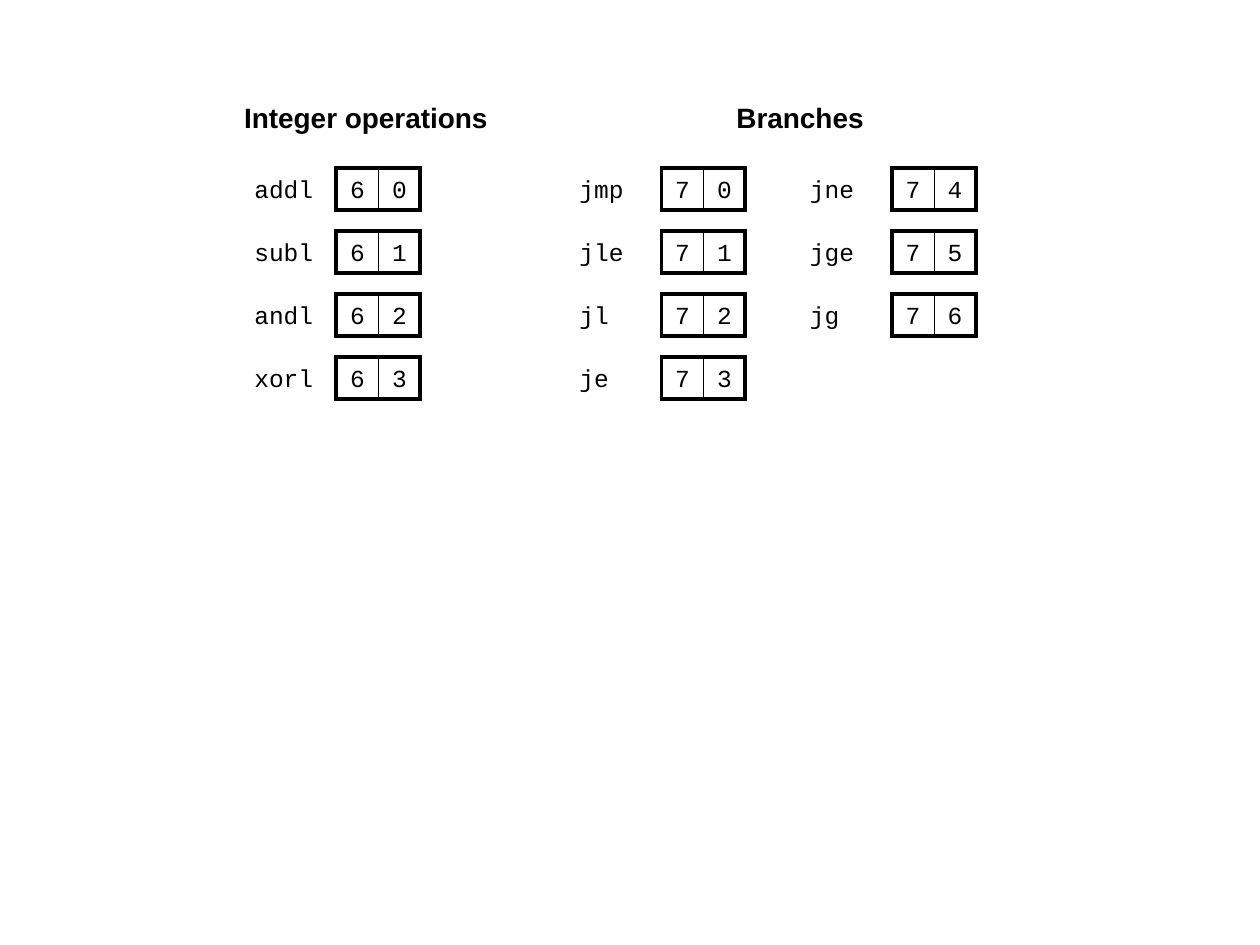
from dataclasses import dataclass
from typing import Any

from lxml import etree
from pptx import Presentation
from pptx.dml.color import RGBColor
from pptx.enum.shapes import MSO_SHAPE
from pptx.enum.text import MSO_ANCHOR, MSO_AUTO_SIZE, PP_ALIGN
from pptx.oxml.ns import qn
from pptx.util import Inches, Pt

RECT = MSO_SHAPE.RECTANGLE
MIDDLE = MSO_ANCHOR.MIDDLE
GROW = MSO_AUTO_SIZE.SHAPE_TO_FIT_TEXT
LEFT, CENTER = PP_ALIGN.LEFT, PP_ALIGN.CENTER

COLORS = {"ink": "000000", "paper": "FFFFFF"}
CODE = {"name": "Courier New", "size": Pt(14), "bold": False}
HEAD = {"name": "Arial", "size": Pt(16), "bold": True}

# Grid in inches
CELL = 1 / 3
TOP = 4 / 3
PITCH = 0.5
LABEL = 2.08
OFFSET = 0.75


@dataclass
class Column:
    left: float
    code: int
    first: int
    names: list[str]


@dataclass
class Heading:
    text: str
    left: float
    width: float


COLUMNS = [
    Column(1.92, 6, 0, ["addl", "subl", "andl", "xorl"]),
    Column(4.5, 7, 0, ["jmp", "jle", "jl", "je"]),
    Column(6.33, 7, 4, ["jne", "jge", "jg"]),
]
HEADINGS = [
    Heading("Integer operations", 1.82, 2.17),
    Heading("Branches", 5.73, 1.24),
]


def color(key: str) -> RGBColor:
    return RGBColor.from_string(COLORS[key])


def write(shape: Any, text: str, style: dict[str, Any], align: Any) -> None:
    frame = shape.text_frame
    frame.word_wrap = False
    para = frame.paragraphs[0]
    para.alignment = align
    run = para.add_run()
    run.text = text
    for key, value in style.items():
        setattr(run.font, key, value)
    run.font.color.rgb = color("ink")


def draw_box(shapes: Any, left: float, top: float, width: float,
             line: float = 0, filled: bool = True) -> Any:
    box = shapes.add_shape(RECT, Inches(left), Inches(top),
                           Inches(width), Inches(CELL))
    box.shadow.inherit = False
    box.text_frame.vertical_anchor = MIDDLE
    if filled:
        box.fill.solid()
        box.fill.fore_color.rgb = color("paper")
    else:
        box.fill.background()
    if line:
        box.line.color.rgb = color("ink")
        box.line.width = Pt(line)
        # Square corners
        edge = box.element.spPr.find(qn("a:ln"))
        etree.SubElement(edge, qn("a:miter"), lim="800000")
    else:
        box.line.fill.background()
    return box


def draw_code(shapes: Any, left: float, top: float, digits: list[int]) -> None:
    group = shapes.add_group_shape().shapes
    for i, digit in enumerate(digits):
        cell = draw_box(group, left + i * CELL, top, CELL, 0.5)
        write(cell, str(digit), CODE, CENTER)
    draw_box(group, left, top, len(digits) * CELL, 2.25, filled=False)


def draw_column(shapes: Any, col: Column) -> None:
    for i, name in enumerate(col.names):
        top = TOP + i * PITCH
        write(draw_box(shapes, col.left, top, LABEL), name, CODE, LEFT)
        draw_code(shapes, col.left + OFFSET, top, [col.code, col.first + i])


def draw_heading(shapes: Any, head: Heading) -> None:
    box = shapes.add_textbox(Inches(head.left), Inches(0.75),
                             Inches(head.width), Inches(0.37))
    write(box, head.text, HEAD, CENTER)
    box.text_frame.auto_size = GROW


def main() -> None:
    deck = Presentation()
    deck.slide_width, deck.slide_height = Inches(10), Inches(7.5)
    shapes = deck.slides.add_slide(deck.slide_layouts[6]).shapes

    # Instruction names with their code bytes
    for col in COLUMNS:
        draw_column(shapes, col)

    # Headings above the columns
    for head in HEADINGS:
        draw_heading(shapes, head)

    deck.save("out.pptx")


if __name__ == "__main__":
    main()
